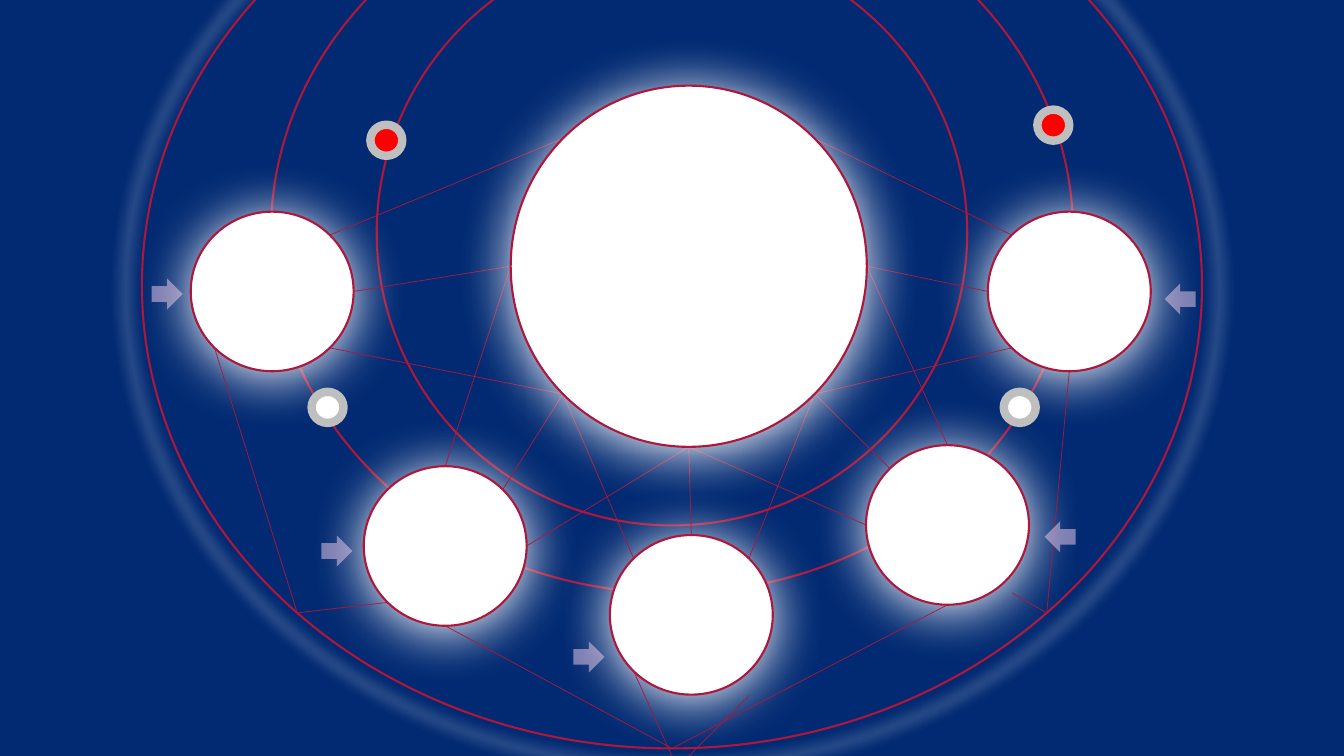
from math import copysign, sqrt

from lxml import etree
from pptx import Presentation
from pptx import util as u
from pptx.dml.color import RGBColor
from pptx.enum import shapes
from pptx.oxml.ns import qn

COLORS = {"night": "022A72", "crimson": "AE173B", "white": "FFFFFF",
          "red": "FF0000", "grey": "BFBFBF", "pink": "F2CFEE"}
WIDTH, HEIGHT = 13.33, 7.5
COLUMNS, ROWS = 16, 9
PLANET = (1.94, 1.9)
DOT = (0.38, 0.37)
ARROW = (0.37, 0.37)

ORBS = {
    "outer": (8, 3.4, 12.62, 11.02),
    "middle": (8, 2.77, 9.55, 8.58),
    "inner": (8, 2.77, 7.03, 6.97),
    "west": (3.24, 3.47, *PLANET),
    "east": (12.73, 3.47, *PLANET),
    "southwest": (5.3, 6.5, *PLANET),
    "south": (8.23, 7.32, *PLANET),
    "southeast": (11.28, 6.25, *PLANET),
    "hub": (8.2, 3.17, 4.24, 4.3),
}
PLANETS = ("west", "east", "southwest", "south", "southeast")
DOTS = [(4.6, 1.67, "red"), (12.14, 4.85, "white"),
        (12.54, 1.49, "red"), (3.9, 4.85, "white")]
ARROWS = [(4.01, 6.56, 0), (1.99, 3.5, 0), (12.62, 6.39, 180),
          (7.01, 7.82, 0), (14.05, 3.56, 180)]
SITES = {"t": (0, -1), "tl": (-1, -1), "l": (-1, 0), "bl": (-1, 1),
         "b": (0, 1), "br": (1, 1), "r": (1, 0), "tr": (1, -1)}
THREADS = [
    ("hub tl", "west tr"), ("hub l", "west r"), ("hub bl", "west br"),
    ("hub tr", "east tl"), ("hub r", "east l"), ("hub br", "east bl"),
    ("hub b", "south t"), ("hub bl", "south tl"), ("hub br", "south tr"),
    ("hub l", "southwest t"), ("hub b", "southwest r"), ("hub bl", "southwest tr"),
    ("hub br", "southeast tl"), ("hub r", "southeast t"), ("hub b", "southeast l"),
    ("south bl", (8, 9)), ((8.92, 8.28), (8.2, 9)),
    ("west bl", "outer bl"), ("outer bl", "southwest bl"),
    ("southwest b", "outer b"), ("outer b", "southeast b"),
    ((12.05, 7.06), "outer br"), ("east b", "outer br"),
]


def col(count):
    """Turn a number of grid columns into a length."""
    return u.Inches(count * WIDTH / COLUMNS)


def row(count):
    """Turn a number of grid rows into a length."""
    return u.Inches(count * HEIGHT / ROWS)


def color(name):
    """Look up a colour by its name."""
    return RGBColor.from_string(COLORS[name])


def site(place):
    """Find the grid point of a named spot on an orb's rim."""
    if not isinstance(place, str):
        return place
    orb, side = place.split()
    x, y, width, height = ORBS[orb]
    across, down = SITES[side]
    reach = 1 / sqrt(2) if across and down else 1
    return (x + copysign(reach * width / 2, across) * abs(across),
            y + copysign(reach * height / 2, down) * abs(down))


def add_centred(slide, kind, x, y, width, height, fill=None, line=None, weight=1.5):
    """Add a preset shape centred on a grid point."""
    shape = slide.shapes.add_shape(kind, col(x - width / 2), row(y - height / 2),
                                   col(width), row(height))
    shape.shadow.inherit = False
    if fill:
        shape.fill.solid()
        shape.fill.fore_color.rgb = color(fill)
    else:
        shape.fill.background()
    if line:
        shape.line.color.rgb = color(line)
        shape.line.width = u.Pt(weight)
    else:
        shape.line.fill.background()
    return shape


def add_glow(shape, blur, scale=100):
    """Give a shape a soft white halo."""
    effects = shape.element.spPr.find(qn("a:effectLst"))
    halo = etree.SubElement(effects, qn("a:outerShdw"), {
        "blurRad": str(u.Pt(blur)), "dist": str(u.Pt(3)), "dir": "5400000",
        "sx": str(scale * 1000), "sy": str(scale * 1000),
        "algn": "ctr", "rotWithShape": "0"})
    etree.SubElement(halo, qn("a:srgbClr"), val=COLORS["white"])


def add_orb(slide, name, fill=None):
    """Add one of the named orbs with a crimson rim."""
    return add_centred(slide, shapes.MSO_SHAPE.OVAL, *ORBS[name], fill, "crimson")


def add_thread(slide, start, end):
    """Join two spots with a thin crimson line."""
    (x1, y1), (x2, y2) = site(start), site(end)
    thread = slide.shapes.add_connector(shapes.MSO_CONNECTOR.STRAIGHT,
                                        col(x1), row(y1), col(x2), row(y2))
    thread.line.color.rgb = color("crimson")
    thread.line.width = u.Pt(0.5)
    etree.SubElement(thread.element.spPr, qn("a:effectLst"))


def add_arrow(slide, x, y, turn):
    """Add a half-transparent pink arrow."""
    arrow = add_centred(slide, shapes.MSO_SHAPE.RIGHT_ARROW, x, y, *ARROW, "pink")
    arrow.rotation = turn
    tint = arrow.element.spPr.find(qn("a:solidFill")).find(qn("a:srgbClr"))
    etree.SubElement(tint, qn("a:alpha"), val="50000")


def main():
    """Build the slide of orbits and save it."""
    deck = Presentation()
    deck.slide_width, deck.slide_height = u.Inches(WIDTH), u.Inches(HEIGHT)
    slide = deck.slides.add_slide(deck.slide_layouts[6])
    slide.background.fill.solid()
    slide.background.fill.fore_color.rgb = color("night")

    add_glow(add_orb(slide, "outer"), 10, 103)
    for orbit in ("middle", "inner"):
        add_orb(slide, orbit)
    for planet in PLANETS:
        add_glow(add_orb(slide, planet, "white"), 40)
    for x, y, fill in DOTS:
        add_centred(slide, shapes.MSO_SHAPE.OVAL, x, y, *DOT, fill, "grey", 6)
    for start, end in THREADS:
        add_thread(slide, start, end)
    add_glow(add_orb(slide, "hub", "white"), 40)
    for x, y, turn in ARROWS:
        add_arrow(slide, x, y, turn)

    deck.save("out.pptx")


if __name__ == "__main__":
    main()
